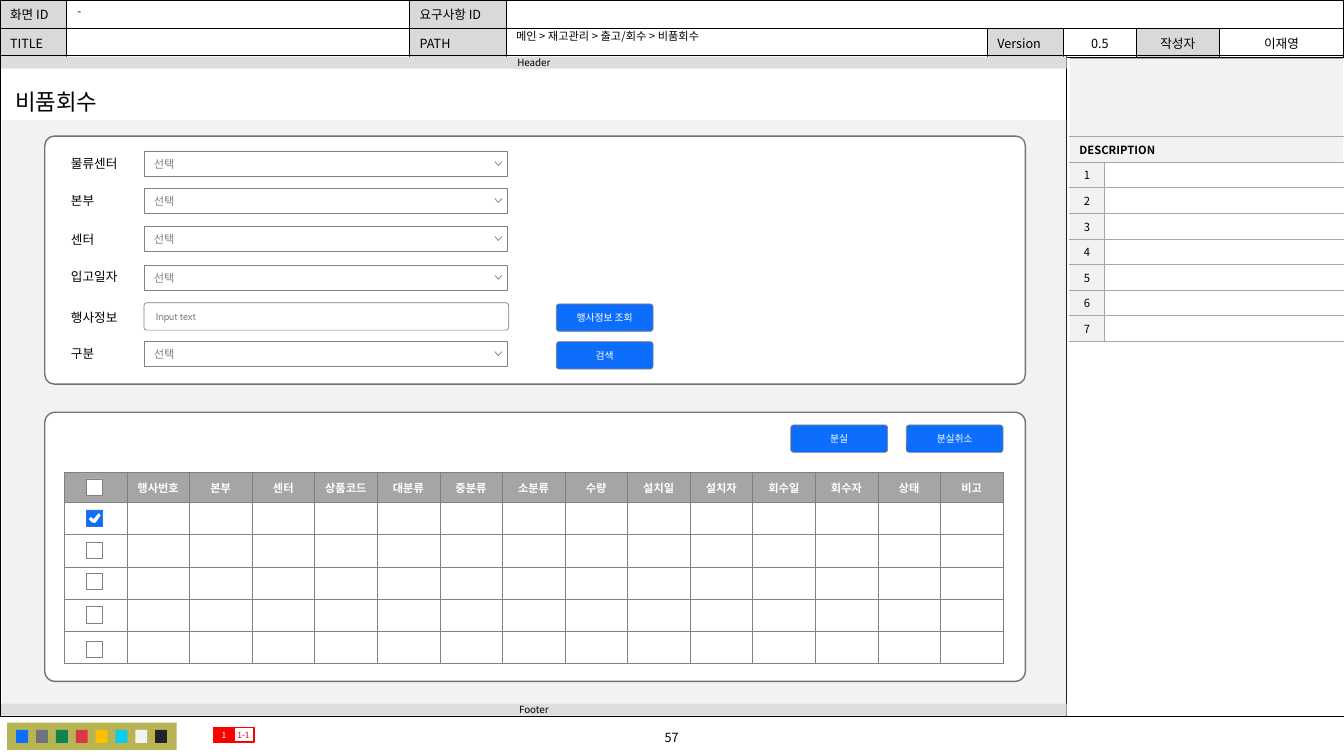
"""Build the equipment return screen of a storyboard deck."""
import lxml.etree
import pptx
import pptx.dml.color
import pptx.enum.shapes
import pptx.enum.text
import pptx.oxml.ns
import pptx.util

Cm = pptx.util.Cm
Pt = pptx.util.Pt
RECT = pptx.enum.shapes.MSO_SHAPE.RECTANGLE
ROUND = pptx.enum.shapes.MSO_SHAPE.ROUNDED_RECTANGLE
ALIGN = pptx.enum.text.PP_ALIGN
MIDDLE = pptx.enum.text.MSO_ANCHOR.MIDDLE
NOTO, CABIN = "Noto Sans CJK KR", "Cabin"
BLACK, WHITE, GREY, PALE = "000000", "FFFFFF", "808080", "F2F2F2"
BLUE, SLATE, RED = "0D6EFD", "6C757D", "FF0000"


def color(code):
    """Turn a hex string into a colour."""
    return pptx.dml.color.RGBColor.from_string(code)


def add(parent, tag, **attrs):
    """Append a drawing element to a parent."""
    return lxml.etree.SubElement(parent, pptx.oxml.ns.qn(tag), attrs)


def write(frame, text, size, ink=BLACK, font=NOTO, bold=False, center=False):
    """Put one formatted paragraph in a text frame."""
    para = frame.paragraphs[0]
    para.alignment = ALIGN.CENTER if center else ALIGN.LEFT
    para.font.size = Pt(size)
    para.font.bold = bold
    para.font.color.rgb = color(ink)
    para.font.name = font
    add(para.font._element, "a:ea", typeface=NOTO)
    if text:
        para.add_run().text = text
    else:
        add(para._p, "a:endParaRPr", sz=str(size * 100))
    return para


def inset(item, left, top, right=None):
    """Set the inner margins of a frame or cell."""
    item.margin_left = Cm(left)
    item.margin_right = Cm(left if right is None else right)
    item.margin_top = item.margin_bottom = Cm(top)


def paint(shape, fill=None, line=None, width=0.5):
    """Set the fill and outline of a shape."""
    shape.shadow.inherit = False
    if fill:
        shape.fill.solid()
        shape.fill.fore_color.rgb = color(fill)
    else:
        shape.fill.background()
    if line:
        shape.line.color.rgb = color(line)
        shape.line.width = Pt(width)
    else:
        shape.line.fill.background()


def box(slide, kind, place, fill=None, line=None, width=0.5, round=None):
    """Draw a preset shape and return its text frame."""
    shape = slide.shapes.add_shape(kind, *map(Cm, place))
    paint(shape, fill, line, width)
    if round:
        shape.adjustments[0] = round
    frame = shape.text_frame
    frame.word_wrap = True
    frame.vertical_anchor = MIDDLE
    inset(frame, 0, 0)
    return frame


def label(slide, place, text, size, center=False):
    """Add a plain text box."""
    frame = slide.shapes.add_textbox(*map(Cm, place)).text_frame
    frame.word_wrap = True
    return write(frame, text, size, center=center)


def outline(slide, points, fill, line=None, close=True):
    """Draw a freeform through the given points."""
    points = [(Cm(x), Cm(y)) for x, y in points]
    maker = slide.shapes.build_freeform(*points[0])
    maker.add_line_segments(points[1:], close=close)
    paint(maker.convert_to_shape(), fill, line)


def select(slide, top):
    """Draw a drop-down field with its chevron."""
    frame = box(slide, RECT, (3.63, top, 9.17, 0.64), WHITE, GREY)
    inset(frame, 0.25, 0.15, 0.71)
    write(frame, "선택", 8, GREY, CABIN)
    y = top + 0.26
    outline(slide, [(12.65, y), (12.56, y + 0.1), (12.47, y)], WHITE, GREY, False)


def button(slide, left, top, text):
    """Draw a blue button."""
    frame = box(slide, ROUND, (left, top, 2.44, 0.69), BLUE, GREY, round=0.108)
    inset(frame, 0.28, 0.18)
    write(frame, text, 7, WHITE, CABIN, center=True)


def grid(slide, left, top, cols, rows):
    """Add an unstyled table with given column and row sizes."""
    place = map(Cm, (left, top, sum(cols), sum(rows)))
    table = slide.shapes.add_table(len(rows), len(cols), *place).table
    table.first_row = table.horz_banding = False
    for col, size in zip(table.columns, cols):
        col.width = Cm(size)
    for row, size in zip(table.rows, rows):
        row.height = Cm(size)
    return table


def fill(cell, text, size, back, line, width=0.5, sides="LRTB", **style):
    """Format one table cell and write its text."""
    props = cell._tc.get_or_add_tcPr()
    for side in sides:
        edge = add(props, "a:ln" + side, w=str(Pt(width)))
        add(add(edge, "a:solidFill"), "a:srgbClr", val=line)
    cell.fill.solid()
    cell.fill.fore_color.rgb = color(back)
    cell.vertical_anchor = MIDDLE
    write(cell.text_frame, text, size, **style)


def header(slide):
    """Draw the document information table."""
    rows = [["화면 ID", "", "요구사항 ID", "", "", "", "", ""],
            ["TITLE", "", "PATH", "", "Version", "0.5", "작성자", "이재영"]]
    cols = [1.68, 8.64, 2.44, 12.12, 1.92, 1.83, 2.1, 3.13]
    table = grid(slide, 0, 0, cols, [0.71, 0.71])
    table.cell(0, 3).merge(table.cell(0, 7))
    for r, row in enumerate(rows):
        for c, text in enumerate(row):
            back = "D9D9D9" if text and c % 2 == 0 else WHITE
            fill(table.cell(r, c), text, 9, back, BLACK, center=c > 4)


def notes(slide):
    """Draw the description table."""
    table = grid(slide, 26.95, 1.47, [0.89, 6.02], [1.97] + [5.16 / 8] * 8)
    for r in range(9):
        for c in range(2):
            cell = table.cell(r, c)
            if r < 2:
                text = "DESCRIPTION" if r == 1 and c == 0 else ""
            else:
                text = "" if c else str(r - 1)
                inset(cell, 0, 0)
            back = WHITE if r > 1 and c else PALE
            sides = "TB" if r < 2 else "LTB" if c else "RTB"
            fill(cell, text, 8, back, "A6A6A6", sides=sides, bold=r == 1, center=r > 1)
        if r < 2:
            table.cell(r, 0).merge(table.cell(r, 1))


def items(slide):
    """Draw the item list with its check boxes."""
    heads = ["", "행사번호", "본부", "센터", "상품코드", "대분류", "중분류", "소분류",
             "수량", "설치일", "설치자", "회수일", "회수자", "상태", "비고"]
    table = grid(slide, 1.62, 11.9, [23.66 / 15] * 15, [0.76] + [4.06 / 5] * 5)
    for r in range(6):
        for c, head in enumerate(heads):
            cell = table.cell(r, c)
            inset(cell, 0.15, 0.1)
            fill(cell, "" if r else head, 8, WHITE if r else "A5A5A5", GREY, 0.25,
                 ink=WHITE, bold=True, center=True)
    for r, top in enumerate([12.07, 12.85, 13.67, 14.45, 15.29, 16.15]):
        look = (BLUE, "3272DD") if r == 1 else (WHITE, GREY)
        box(slide, RECT, (2.18, top, 0.41, 0.41), *look)
    outline(slide, [(2.49, 12.93), (2.36, 13.08), (2.29, 13.03), (2.24, 13.08),
                    (2.31, 13.16), (2.39, 13.18), (2.44, 13.13), (2.54, 12.98)], WHITE)


def form(slide):
    """Draw the search fields."""
    rows = [("물류센터", 3.8, 3.81), ("본부", 4.74, 4.74), ("센터", 5.73, 5.7),
            ("입고일자", 6.65, 6.68), ("행사정보", 7.68, 7.63), ("구분", 8.6, 8.6)]
    for name, high, top in rows:
        label(slide, (1.54, high, 1.91, 0.64), name, 9)
        if name != "행사정보":
            select(slide, top)
            continue
        frame = box(slide, ROUND, (3.63, top, 9.19, 0.69), WHITE, GREY, round=0.108)
        inset(frame, 0.28, 0.18)
        write(frame, "Input text", 7, GREY, CABIN)


def holder(shape, place, text, size):
    """Bring a placeholder to the front, move it and write its text."""
    shape._element.getparent().append(shape._element)
    shape.left, shape.top, shape.width, shape.height = map(Cm, place)
    frame = shape.text_frame
    frame.auto_size = pptx.enum.text.MSO_AUTO_SIZE.NONE
    props = frame.paragraphs[0]._p.get_or_add_pPr()
    props.set("marL", "0")
    props.set("indent", "0")
    add(props, "a:buNone")
    para = write(frame, text, size)
    para.space_before = Pt(0)
    return frame


def main():
    """Build and save the slide."""
    deck = pptx.Presentation()
    deck.slide_width, deck.slide_height = Cm(33.87), Cm(19.05)
    slide = deck.slides.add_slide(deck.slide_layouts[1])
    header(slide)
    box(slide, RECT, (0, 1.4, 33.87, 16.66), line=BLACK, width=0.25)
    label(slide, (13.65, 18.26, 6.55, 0.64), "57", 9, True)
    ends = map(Cm, (26.87, 1.42, 26.87, 18.06))
    rule = slide.shapes.add_connector(pptx.enum.shapes.MSO_CONNECTOR.STRAIGHT, *ends)
    rule.line.color.rgb = color(BLACK)
    rule.line.width = Pt(0.5)
    add(rule._element.spPr, "a:effectLst")
    box(slide, RECT, (0.18, 18.21, 4.27, 0.69), "B7B553")
    tints = [BLUE, SLATE, "10834E", "DC3545", "FFBE00", "0DCAF0", PALE, "212529"]
    for i, tint in enumerate(tints):
        box(slide, RECT, (0.41 + 0.5 * i, 18.39, 0.3, 0.33), tint)
    box(slide, RECT, (0.05, 3.03, 26.82, 15.01), PALE)
    for text, top in [("Footer", 17.73), ("Header", 1.43)]:
        frame = box(slide, RECT, (0.03, top, 26.85, 0.3), "DDDDDD")
        write(frame, text, 7, center=True)
    notes(slide)
    trail = "메인 > 재고관리 > 출고/회수 > 비품회수"
    frame = holder(slide.placeholders[1], (12.75, 0.66, 12.04, 0.58), trail, 8)
    frame.word_wrap = True
    frame.paragraphs[0].line_spacing = 0.9
    label(slide, (1.7, 0.03, 8.64, 0.58), "-", 8).line_spacing = 0.9
    for text, left, back, ink in [("1-1", 5.87, None, RED), ("1", 5.38, RED, WHITE)]:
        frame = box(slide, RECT, (left, 18.34, 0.53, 0.36), back, RED, 1)
        write(frame, text, 6, ink, center=True)
    frame = holder(slide.shapes.title, (0.13, 2.1, 2.79, 0.94), "비품회수", 16)
    frame.word_wrap = False
    frame.vertical_anchor = MIDDLE
    for top, height in [(3.43, 6.25), (10.39, 6.78)]:
        box(slide, ROUND, (1.13, top, 24.71, height), WHITE, SLATE, 1, 0.038)
    form(slide)
    items(slide)
    for left, top, text in [(14.02, 7.66, "행사정보 조회"), (14.02, 8.61, "검색"),
                            (22.84, 10.71, "분실취소"), (19.93, 10.71, "분실")]:
        button(slide, left, top, text)
    deck.save("out.pptx")


if __name__ == "__main__":
    main()
